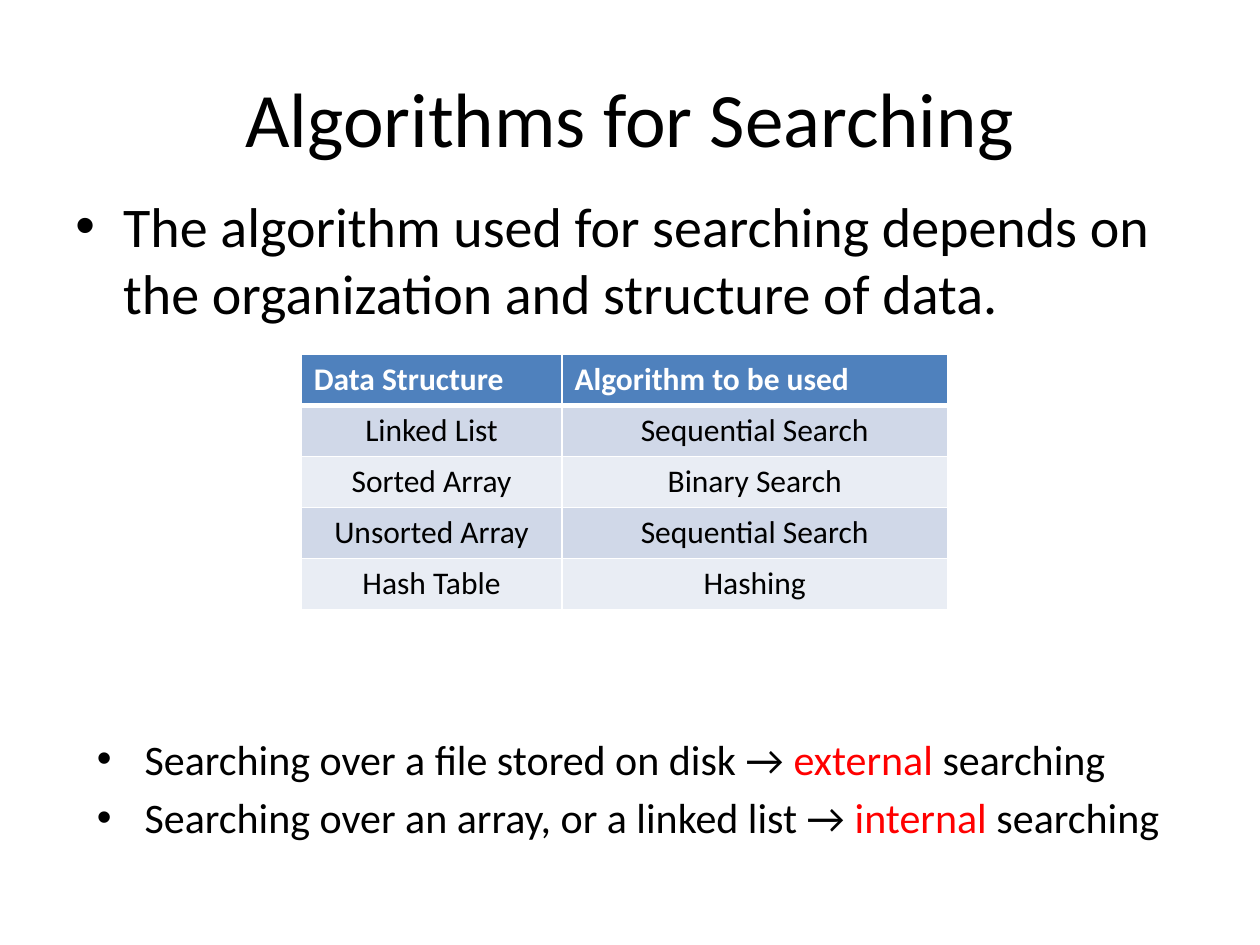
from lxml import etree
from pptx import Presentation
from pptx import util as u
from pptx.dml.color import RGBColor
from pptx.enum import text
from pptx.oxml import ns

FONT = "Calibri"
BLACK, WHITE, RED = "000000", "FFFFFF", "FF0000"
HEADER, BANDS = "4F81BD", ("D0D8E8", "E9EDF4")
INDENT = 0.38

TITLE = "Algorithms for Searching"
INTRO = [[("The algorithm used for searching depends on the organization "
           "and structure of data.", BLACK)]]
ROWS = [
    ("Data Structure", "Algorithm to be used"),
    ("Linked List", "Sequential Search"),
    ("Sorted Array", "Binary Search"),
    ("Unsorted Array", "Sequential Search"),
    ("Hash Table", "Hashing"),
]
KINDS = [
    [("Searching over a file stored on disk → ", BLACK),
     ("external", RED), (" searching", BLACK)],
    [("Searching over an array, or a linked list → ", BLACK),
     ("internal", RED), (" searching", BLACK)],
]


def rgb(value):
    return RGBColor.from_string(value)


def add_run(paragraph, words, size, color, bold=False):
    run = paragraph.add_run()
    run.text = words
    run.font.name, run.font.size, run.font.bold = FONT, u.Pt(size), bold
    run.font.color.rgb = rgb(color)


def add_frame(slide, box, anchor=text.MSO_ANCHOR.TOP):
    frame = slide.shapes.add_textbox(*map(u.Inches, box)).text_frame
    frame.word_wrap = True
    frame.vertical_anchor = anchor
    return frame


def set_bullet(paragraph):
    properties = paragraph._p.get_or_add_pPr()
    properties.set("marL", str(u.Inches(INDENT)))
    properties.set("indent", str(-u.Inches(INDENT)))
    font = etree.SubElement(properties, ns.qn("a:buFont"))
    font.set("typeface", "Arial")
    etree.SubElement(properties, ns.qn("a:buChar")).set("char", "•")


def set_borders(cell, widths):
    """Draw white borders; widths maps each side to points."""
    properties = cell._tc.get_or_add_tcPr()
    for position, side in enumerate("LRTB"):
        line = etree.Element(ns.qn(f"a:ln{side}"), w=str(u.Pt(widths[side])))
        fill = etree.SubElement(line, ns.qn("a:solidFill"))
        etree.SubElement(fill, ns.qn("a:srgbClr")).set("val", WHITE)
        properties.insert(position, line)


def add_title(slide, box):
    paragraph = add_frame(slide, box, text.MSO_ANCHOR.MIDDLE).paragraphs[0]
    paragraph.alignment = text.PP_ALIGN.CENTER
    add_run(paragraph, TITLE, 44, BLACK)


def add_bullets(slide, box, items, size):
    frame = add_frame(slide, box)
    for index, runs in enumerate(items):
        paragraph = frame.add_paragraph() if index else frame.paragraphs[0]
        paragraph.space_before = u.Pt(0.2 * size)
        set_bullet(paragraph)
        for words, color in runs:
            add_run(paragraph, words, size, color)


def add_search_table(slide, box, column_widths):
    table = slide.shapes.add_table(
        len(ROWS), len(column_widths), *map(u.Inches, box)).table
    for column, width in zip(table.columns, column_widths):
        column.width = u.Inches(width)
    for r, row in enumerate(ROWS):
        is_header = r == 0
        for c, words in enumerate(row):
            cell = table.cell(r, c)
            cell.fill.solid()
            cell.fill.fore_color.rgb = rgb(
                HEADER if is_header else BANDS[(r - 1) % 2])
            # A thick rule separates the header from the body
            set_borders(cell, {"L": 1, "R": 1, "T": 3 if r == 1 else 1,
                               "B": 3 if is_header else 1})
            paragraph = cell.text_frame.paragraphs[0]
            paragraph.alignment = (text.PP_ALIGN.LEFT if is_header
                                   else text.PP_ALIGN.CENTER)
            add_run(paragraph, words, 18, WHITE if is_header else BLACK,
                    is_header)


def main():
    presentation = Presentation()
    presentation.slide_width = u.Inches(10)
    presentation.slide_height = u.Inches(7.5)
    slide = presentation.slides.add_slide(presentation.slide_layouts[6])

    # Title and opening statement
    add_title(slide, (0.5, 0.3, 9, 1.25))
    add_bullets(slide, (0.5, 1.47, 9, 1.37), INTRO, 32)
    # Which algorithm suits which structure
    add_search_table(slide, (2.39, 2.81, 5.13, 2.03), (2.07, 3.06))
    # External and internal searching
    add_bullets(slide, (0.67, 5.77, 9, 1.37), KINDS, 24)

    presentation.save("out.pptx")


if __name__ == "__main__":
    main()
